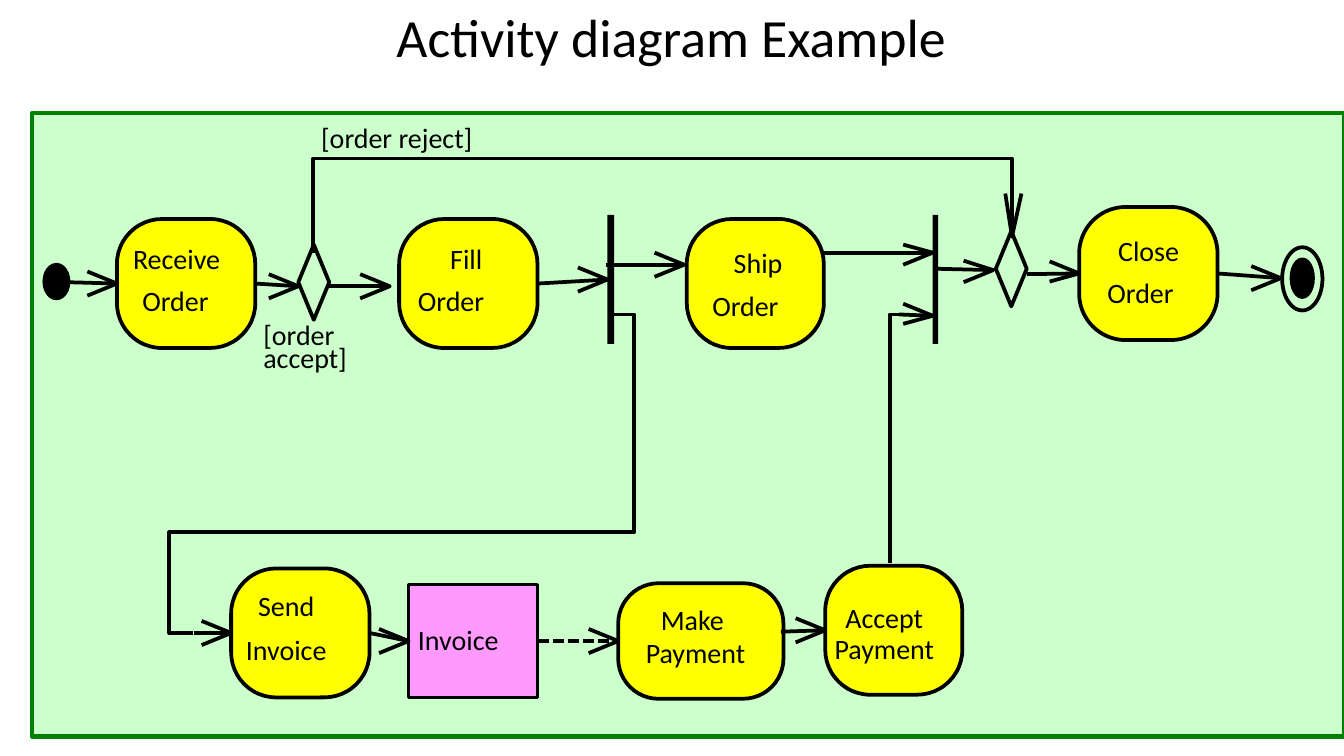
"""Build a slide with a UML activity diagram of order handling."""
from pptx import Presentation
from pptx import util as u
from pptx.dml.color import RGBColor
from pptx.enum import dml, shapes, text
from pptx.oxml.ns import qn
from lxml import etree

BLACK = RGBColor(0x00, 0x00, 0x00)
GREEN = RGBColor(0x00, 0x80, 0x00)
MINT = RGBColor(0xCC, 0xFF, 0xCC)
YELLOW = RGBColor(0xFF, 0xFF, 0x00)
PINK = RGBColor(0xFF, 0x99, 0xFF)
KIND = shapes.MSO_SHAPE


def style(shape, fill=None, line=BLACK, width=2):
    shape.shadow.inherit = False
    if fill is None:
        shape.fill.background()
    else:
        shape.fill.solid()
        shape.fill.fore_color.rgb = fill
    if line is None:
        shape.line.fill.background()
    else:
        shape.line.color.rgb = line
        shape.line.width = u.Pt(width)
    return shape


def add_node(page, kind, frame, fill=None, line=BLACK, width=2):
    shape = page.shapes.add_shape(kind, *map(u.Inches, frame))
    return style(shape, fill, line, width)


def add_label(page, lines, left, top, width, size=15, height=0.25,
              align=text.PP_ALIGN.LEFT):
    box = page.shapes.add_textbox(*map(u.Inches, (left, top, width, height)))
    frame = box.text_frame
    frame.margin_left = frame.margin_right = 0
    frame.margin_top = frame.margin_bottom = 0
    frame.word_wrap = False
    frame.vertical_anchor = text.MSO_ANCHOR.MIDDLE
    for index, line in enumerate(lines):
        para = frame.paragraphs[0] if index == 0 else frame.add_paragraph()
        para.alignment = align
        span = para.add_run()
        span.text = line
        span.font.name = "Calibri"
        span.font.size = u.Pt(size)
        span.font.color.rgb = BLACK


def add_action(page, frame, *words):
    action = add_node(page, KIND.ROUNDED_RECTANGLE, frame, YELLOW)
    action.adjustments[0] = 0.35
    for word, left, top, width in words:
        add_label(page, [word], left, top, width)
    return action


def add_path(page, points, close=False):
    corners = [(u.Inches(x), u.Inches(y)) for x, y in points]
    builder = page.shapes.build_freeform(*corners[0], scale=1.0)
    builder.add_line_segments(corners[1:], close=close)
    return style(builder.convert_to_shape())


def add_decision(page, left, top, width=0.23, height=0.56):
    x, y = left + width / 2, top + height / 2
    add_path(page, [(x, top), (left, y), (x, top + height), (left + width, y)], True)


def add_arrow(page, start, end, up=0.09, down=0.09, dashed=False):
    """Draw an open-headed arrow between points or the facing sides of shapes."""
    ends = [u.Inches(0)] * 4
    if isinstance(start, tuple):
        ends[:2] = map(u.Inches, start)
    if isinstance(end, tuple):
        ends[2:] = map(u.Inches, end)
    line = page.shapes.add_connector(shapes.MSO_CONNECTOR.STRAIGHT, *ends)
    if not isinstance(start, tuple):
        line.begin_connect(start, 3)
    if not isinstance(end, tuple):
        line.end_connect(end, 1)
    line.line.color.rgb = BLACK
    line.line.width = u.Pt(2)
    if dashed:
        line.line.dash_style = dml.MSO_LINE.SQUARE_DOT
    etree.SubElement(line._element.spPr, qn("a:effectLst"))
    x, y = u.Emu(line.end_x).inches, u.Emu(line.end_y).inches
    back = x - 0.22
    add_path(page, [(back, y - up), (x, y), (back, y + down)])


def add_top_flow(page):
    add_node(page, KIND.OVAL, (0.33, 1.97, 0.18, 0.25), BLACK)
    receive = add_action(page, (0.87, 1.63, 1.03, 0.96),
                         ("Receive", 0.99, 1.8, 0.66), ("Order", 1.06, 2.11, 0.5))
    fill = add_action(page, (2.97, 1.63, 1.03, 0.96),
                      ("Fill", 3.35, 1.8, 0.24), ("Order", 3.11, 2.11, 0.5))
    add_action(page, (5.11, 1.63, 1.02, 0.96),
               ("Ship", 5.46, 1.83, 0.37), ("Order", 5.3, 2.15, 0.5))
    close = add_action(page, (8.03, 1.54, 1.03, 0.99),
                       ("Close", 8.32, 1.74, 0.46), ("Order", 8.24, 2.05, 0.5))
    fork = add_node(page, KIND.RECTANGLE, (4.52, 1.6, 0.05, 0.96), BLACK, None)
    add_node(page, KIND.RECTANGLE, (6.94, 1.6, 0.04, 0.96), BLACK, None)
    add_decision(page, 2.22, 1.82)
    add_decision(page, 7.41, 1.72)
    add_node(page, KIND.OVAL, (9.61, 1.93, 0.16, 0.28), BLACK)
    add_node(page, KIND.OVAL, (9.54, 1.84, 0.3, 0.47))

    add_arrow(page, (0.51, 2.1), receive)
    add_arrow(page, receive, (2.22, 2.13))
    add_arrow(page, (2.45, 2.13), (2.9, 2.13))
    add_arrow(page, fill, fork)
    add_arrow(page, (4.51, 1.97), (5.09, 1.97))
    add_arrow(page, (6.11, 1.88), (6.94, 1.88), up=0.06)
    add_arrow(page, (6.98, 2), (7.39, 2.01), up=0.07)
    add_arrow(page, (7.64, 2.04), close, down=0.06)
    add_arrow(page, close, (9.53, 2.07))

    add_path(page, [(2.33, 1.88), (2.33, 1.18), (7.53, 1.18), (7.53, 1.76)])
    add_path(page, [(7.6, 1.44), (7.53, 1.76), (7.48, 1.44)])
    add_label(page, ["[order reject]"], 2.39, 0.9, 1.14)
    add_label(page, ["[order"], 1.96, 2.36, 0.54)
    add_label(page, ["accept]"], 1.96, 2.53, 0.63)


def add_payment_flow(page):
    send = add_action(page, (1.72, 4.23, 1.03, 0.96),
                      ("Send", 1.92, 4.38, 0.42), ("Invoice", 1.83, 4.71, 0.61))
    invoice = add_node(page, KIND.RECTANGLE, (3.04, 4.35, 0.96, 0.84), PINK)
    add_label(page, ["Invoice"], 3.11, 4.63, 0.61)
    make = add_action(page, (4.6, 4.34, 1.23, 0.86))
    add_label(page, ["Make ", "Payment"], 4.8, 4.48, 0.75, height=0.5,
              align=text.PP_ALIGN.CENTER)
    accept = add_action(page, (6.14, 4.21, 1.02, 0.96),
                        ("Accept", 6.29, 4.47, 0.58), ("Payment", 6.21, 4.7, 0.75))

    add_path(page, [(4.56, 2.34), (4.72, 2.34), (4.72, 3.96),
                    (1.26, 3.96), (1.26, 4.71), (1.44, 4.71)])
    add_arrow(page, (1.44, 4.71), send)
    add_arrow(page, send, invoice)
    add_arrow(page, invoice, make, dashed=True)
    add_arrow(page, (5.81, 4.7), accept)
    add_path(page, [(6.62, 4.19), (6.62, 2.34), (6.71, 2.34)])
    add_arrow(page, (6.69, 2.34), (6.94, 2.35), down=0.06)


def main():
    deck = Presentation()
    deck.slide_width = u.Inches(10)
    deck.slide_height = deck.slide_width * 9 // 16
    page = deck.slides.add_slide(deck.slide_layouts[6])
    add_label(page, ["Activity diagram Example"], 0.73, 0.1, 8.53, 28.8, 0.33,
              text.PP_ALIGN.CENTER)
    add_node(page, KIND.RECTANGLE, (0.24, 0.84, 9.76, 4.64), MINT, GREEN, 2.25)
    add_top_flow(page)
    add_payment_flow(page)
    deck.save("out.pptx")


if __name__ == "__main__":
    main()
